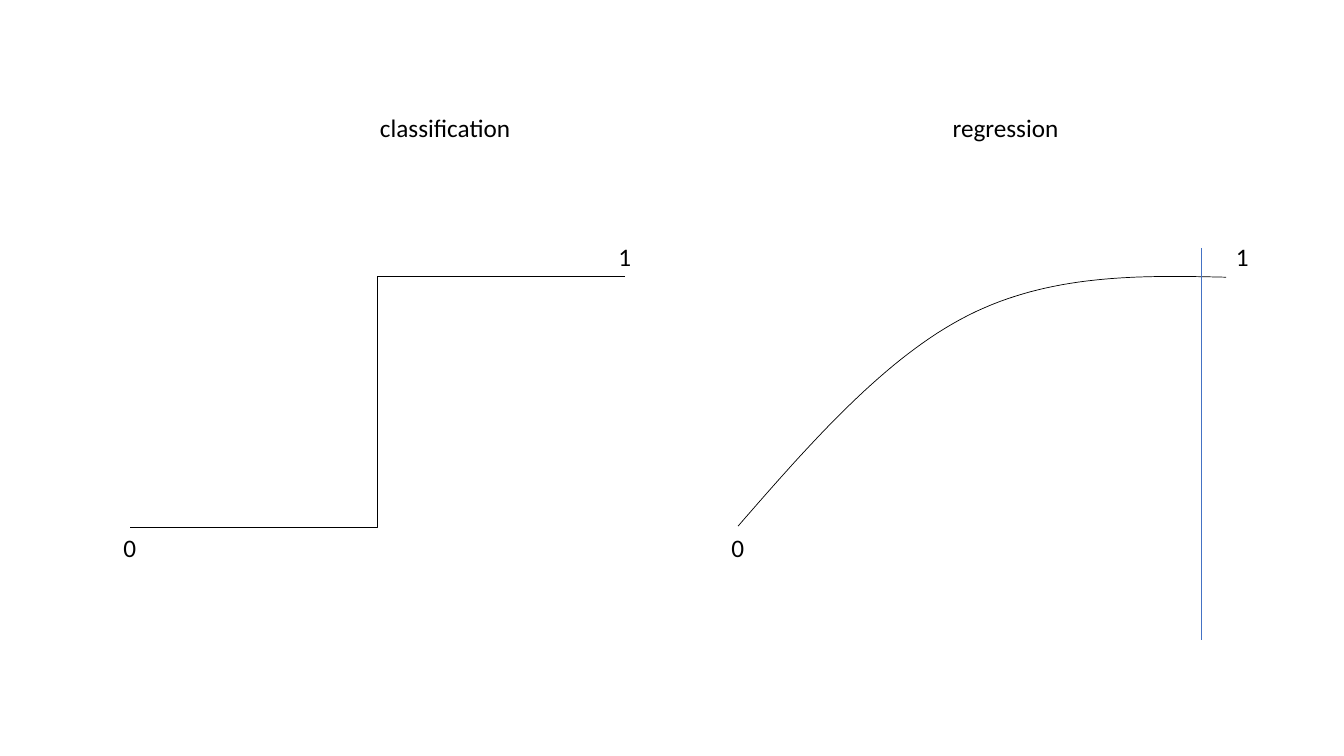
"""Build a slide that compares a classification step with a regression curve."""
from lxml import etree
from pptx import Presentation
from pptx.dml.color import RGBColor
from pptx.enum.shapes import MSO_CONNECTOR
from pptx.enum.text import MSO_AUTO_SIZE
from pptx.oxml.ns import qn
from pptx.util import Inches, Pt

STRAIGHT = MSO_CONNECTOR.STRAIGHT
ELBOW = MSO_CONNECTOR.ELBOW
FIT_SHAPE = MSO_AUTO_SIZE.SHAPE_TO_FIT_TEXT
COLORS = {"ink": "000000", "marker": "4472C4"}
BLANK_LAYOUT = 6
LABEL_HEIGHT = 0.4
DIGIT_WIDTH = 0.33
TOP, BOTTOM = 2.74, 5.23
STEP_LEFT, STEP_RIGHT = 1.29, 6.2
CURVE_LEFT, CURVE_RIGHT = 7.32, 12.16
MARKER_X = 11.92
REGRESSION_CURVE = [
    [(CURVE_LEFT, 5.22), (8.05, 4.38), (8.79, 3.54), (9.6, 3.13)],
    [(9.6, 3.13), (10.41, 2.72), (11.29, 2.73), (CURVE_RIGHT, 2.75)],
]


def bezier_point(controls, t):
    """Return the point at t on a cubic Bezier curve, in EMU."""
    weights = ((1 - t) ** 3, 3 * t * (1 - t) ** 2, 3 * t ** 2 * (1 - t), t ** 3)
    return tuple(
        Inches(sum(weight * value for weight, value in zip(weights, axis)))
        for axis in zip(*controls)
    )


class DiagramSlide:
    """Hold the text and line style and draw on one slide."""

    font_name = "Calibri"
    font_size = Pt(18)
    line_width = Pt(0.5)

    def __init__(self, slide):
        """Keep the slide to draw on."""
        self.slide = slide

    def style_line(self, line, color):
        """Give a line its colour and width."""
        line.color.rgb = RGBColor.from_string(COLORS[color])
        line.width = self.line_width

    def label(self, text, left, top, width=DIGIT_WIDTH):
        """Add a single-line text box."""
        box = self.slide.shapes.add_textbox(
            Inches(left), Inches(top), Inches(width), Inches(LABEL_HEIGHT)
        )
        frame = box.text_frame
        frame.text = text
        frame.word_wrap = False
        frame.auto_size = FIT_SHAPE
        font = frame.paragraphs[0].runs[0].font
        font.name = self.font_name
        font.size = self.font_size
        font.color.rgb = RGBColor.from_string(COLORS["ink"])

    def connector(self, kind, start, end, color):
        """Add a connector without a shadow."""
        points = [Inches(value) for value in (*start, *end)]
        connector = self.slide.shapes.add_connector(kind, *points)
        self.style_line(connector.line, color)
        properties = connector._element.find(qn("p:spPr"))
        etree.SubElement(properties, qn("a:effectLst"))

    def curve(self, segments, color, steps=32):
        """Add an open, unfilled curve through joined Bezier segments."""
        points = [
            bezier_point(controls, step / steps)
            for controls in segments
            for step in range(1, steps + 1)
        ]
        builder = self.slide.shapes.build_freeform(*bezier_point(segments[0], 0))
        builder.add_line_segments(points, close=False)
        shape = builder.convert_to_shape()
        shape.fill.background()
        shape.shadow.inherit = False
        self.style_line(shape.line, color)


def main():
    """Draw both diagrams and save the presentation."""
    presentation = Presentation()
    presentation.slide_width = Inches(13.33)
    presentation.slide_height = Inches(7.5)
    layout = presentation.slide_layouts[BLANK_LAYOUT]
    diagram = DiagramSlide(presentation.slides.add_slide(layout))

    diagram.connector(ELBOW, (STEP_RIGHT, TOP), (STEP_LEFT, BOTTOM), "ink")
    diagram.curve(REGRESSION_CURVE, "ink")

    for zero_center, one_left in (
        (STEP_LEFT, STEP_RIGHT - DIGIT_WIDTH / 2),
        (CURVE_LEFT, CURVE_RIGHT),
    ):
        diagram.label("0", zero_center - DIGIT_WIDTH / 2, BOTTOM)
        diagram.label("1", one_left, TOP - LABEL_HEIGHT)

    for heading, left, width in (
        ("classification", 3.67, 1.51),
        ("regression", 9.35, 1.26),
    ):
        diagram.label(heading, left, 1.07, width)

    diagram.connector(STRAIGHT, (MARKER_X, 2.46), (MARKER_X, 6.35), "marker")
    presentation.save("out.pptx")


if __name__ == "__main__":
    main()
